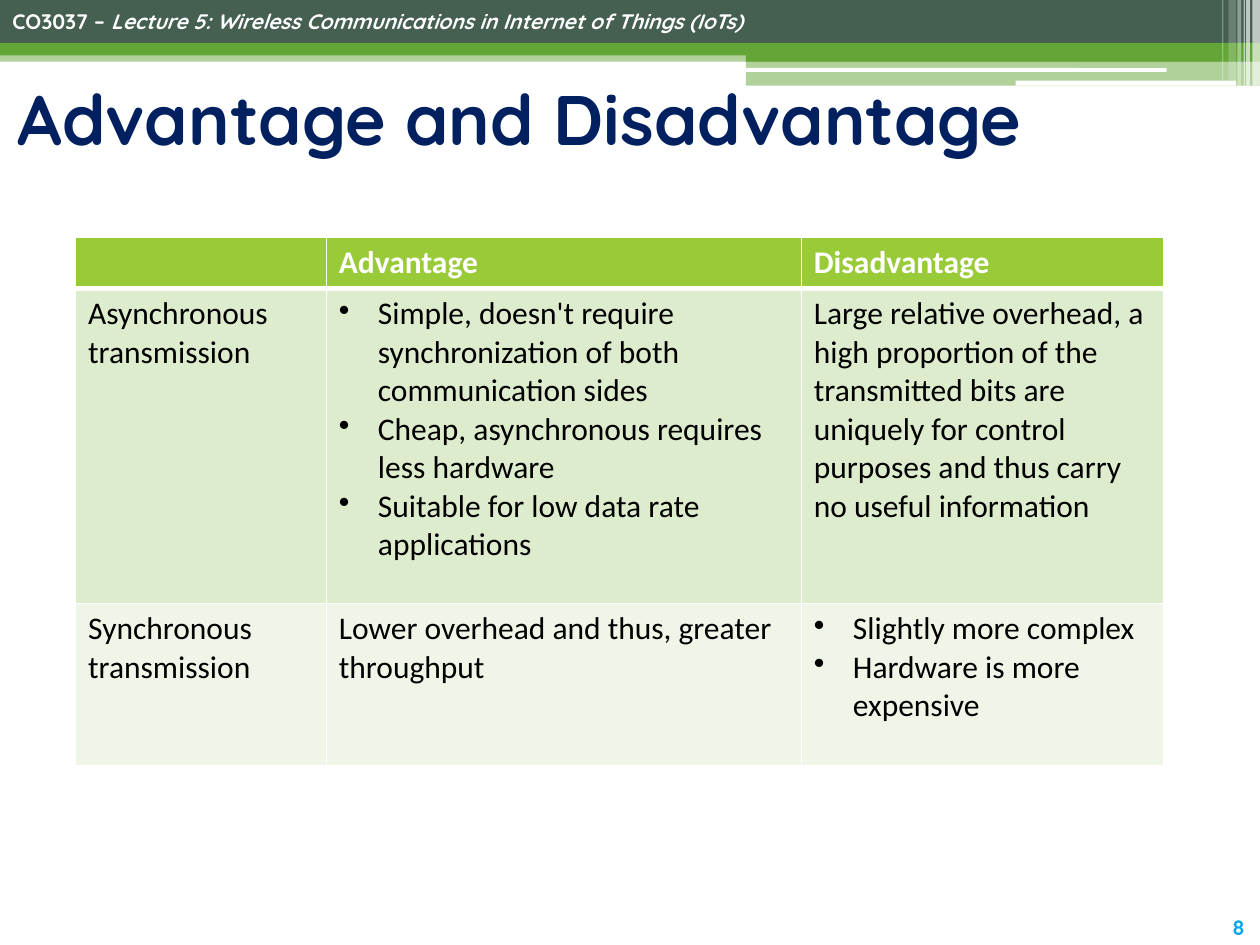
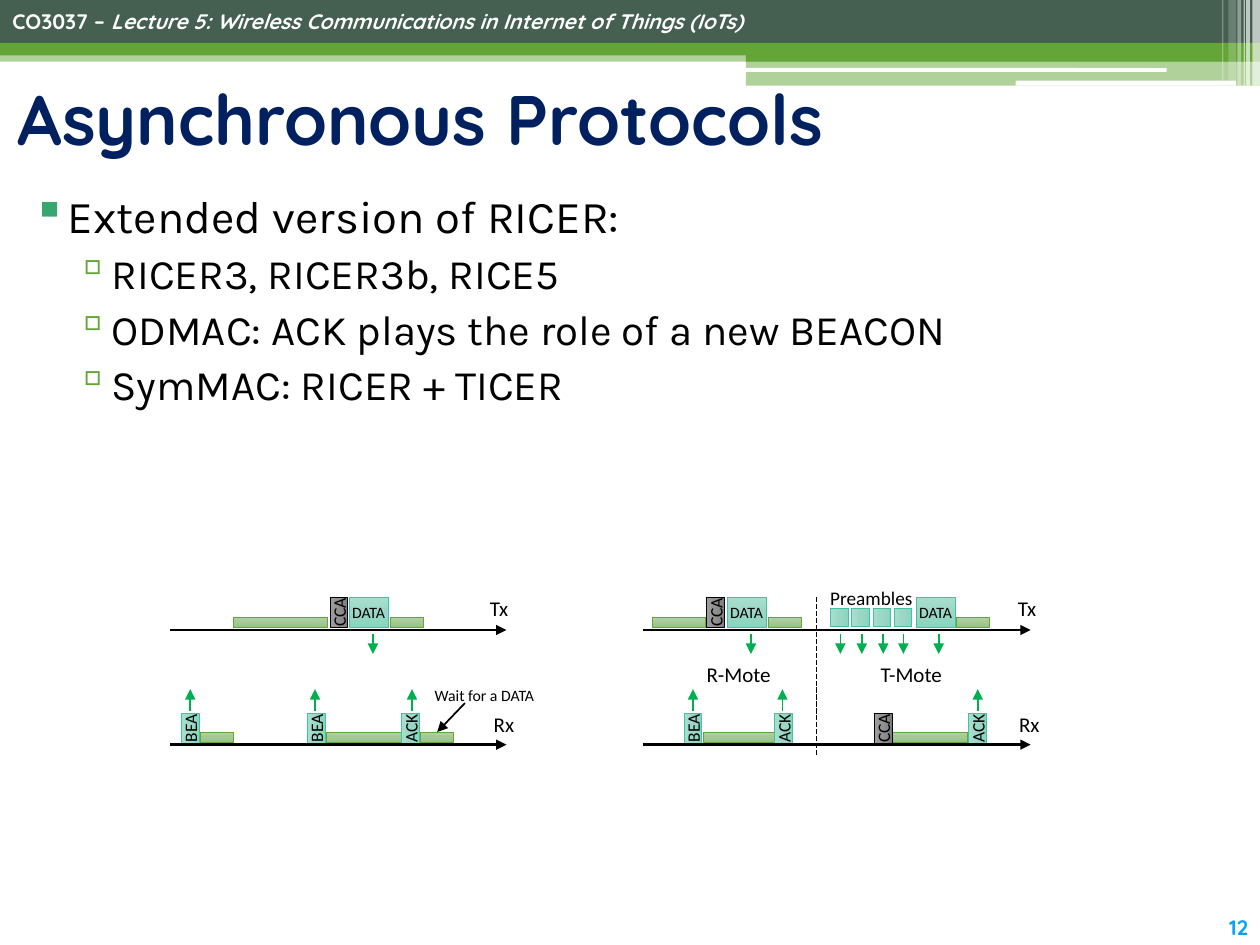
from copy import deepcopy

from lxml import etree
from pptx import Presentation
from pptx import util as u
from pptx.dml.color import RGBColor
from pptx.enum import dml, shapes, text
from pptx.oxml import ns

Inches, Pt = u.Inches, u.Pt
RECT = shapes.MSO_SHAPE.RECTANGLE
ROUND = shapes.MSO_SHAPE.ROUNDED_RECTANGLE
LEFT, MID, JUST = text.PP_ALIGN.LEFT, text.PP_ALIGN.CENTER, text.PP_ALIGN.JUSTIFY

# Colours
WHITE = RGBColor(0xFF, 0xFF, 0xFF)
BLACK = RGBColor(0, 0, 0)
NAVY = RGBColor(0x00, 0x20, 0x60)
SKY = RGBColor(0x08, 0xA5, 0xEF)
SLATE = RGBColor(0x45, 0x5F, 0x51)
GREEN = RGBColor(0x63, 0xA5, 0x37)
LIME = RGBColor(0x99, 0xCB, 0x38)
PALE = RGBColor(0xDE, 0xEC, 0xCE)
FAINT = RGBColor(0xEF, 0xF6, 0xE8)
JADE = RGBColor(0x37, 0xA7, 0x6F)
ARROW = RGBColor(0x00, 0xB0, 0x50)
TEAL = RGBColor(0x44, 0xC1, 0xA3)

# Gradient stops and outline of each kind of timeline box
BAR = ("B0D3A2", "A4C995", "95C482"), GREEN
SEND = ("A8DECD", "9AD7C5", "88D5BE"), TEAL
SENSE = ("9D9D9D", "909090", "7C7C7C"), BLACK

HEAD, BODY, CELL = "Quicksand", "Karla", "Calibri"


def write(frame, runs, size, face, hue, align=LEFT, bold=False, bullet=None):
    """Add one paragraph; runs hold (text, italic), bullet (sign, left, hang, hue)."""
    par = frame.paragraphs[0]
    if par.runs:
        par = frame.add_paragraph()
    if bullet:
        sign, left, hang, tint = bullet
        ppr = par._p.get_or_add_pPr()
        ppr.set("marL", str(Inches(left)))
        ppr.set("indent", str(-Inches(hang)))
        tone = etree.SubElement(ppr, ns.qn("a:buClr"))
        etree.SubElement(tone, ns.qn("a:srgbClr"), val=str(tint))
        etree.SubElement(ppr, ns.qn("a:buChar"), char=sign)
    par.alignment = align
    for words, slant in runs:
        run = par.add_run()
        run.text = words
        font = run.font
        font.size, font.name, font.bold, font.italic = Pt(size), face, bold, slant
        font.color.rgb = hue
    return par


def area(sld, x, y, w, h, wrap=False):
    """Add an empty text box and return its frame."""
    frame = sld.shapes.add_textbox(Inches(x), Inches(y), Inches(w), Inches(h)).text_frame
    frame.word_wrap = wrap
    return frame


prs = Presentation()
prs.slide_width, prs.slide_height = Inches(10), Inches(7.5)

# Shared bands: shape, left, top, width, height, colour, opacity
bands = [
    (RECT, 0, 0.4, 10, 0.09, GREEN, 50),
    (RECT, 0, 0, 10, 0.34, SLATE, 100),
    (RECT, 0, 0.34, 10, 0.1, GREEN, 100),
    (RECT, 5.92, 0.39, 4.08, 0.1, GREEN, 100),
    (RECT, 5.92, 0.48, 4.08, 0.2, GREEN, 50),
    (ROUND, 5.91, 0.54, 3.35, 0.03, WHITE, 100),
    (ROUND, 8.06, 0.64, 1.75, 0.04, WHITE, 100),
    (RECT, 9.94, 0, 0.06, 0.68, WHITE, 65),
    (RECT, 9.89, 0, 0.03, 0.68, WHITE, 65),
    (RECT, 9.87, 0, 0.01, 0.68, WHITE, 60),
    (RECT, 9.82, 0, 0.03, 0.68, WHITE, 40),
    (RECT, 9.75, 0, 0.06, 0.64, WHITE, 20),
    (RECT, 9.7, 0, 0.01, 0.64, WHITE, 30),
]

# Frame of both slides: bands, course line, page number, title
pages = []
for title, num in [("Advantage and Disadvantage", "8"), ("Asynchronous Protocols", "12")]:
    sld = prs.slides.add_slide(prs.slide_layouts[6])
    pages.append(sld)
    for kind, x, y, w, h, hue, clear in bands:
        band = sld.shapes.add_shape(kind, Inches(x), Inches(y), Inches(w), Inches(h))
        band.shadow.inherit = False
        band.line.fill.background()
        band.fill.solid()
        band.fill.fore_color.rgb = hue
        if clear < 100:
            tone = band._element.spPr.find(ns.qn("a:solidFill"))[0]
            etree.SubElement(tone, ns.qn("a:alpha"), val=str(clear * 1000))
    course = [("CO3037 – ", False),
              ("Lecture 5: Wireless Communications in Internet of Things (IoTs)", True)]
    write(area(sld, 0, 0.02, 6.03, 0.3), course, 12, HEAD, WHITE, bold=True)
    write(area(sld, 9.64, 7.21, 0.38, 0.3), [(num, False)], 12, HEAD, SKY, MID, True)
    frame = area(sld, 0.04, 0.52, 9.85, 0.82, True)
    frame.vertical_anchor = text.MSO_ANCHOR.MIDDLE
    write(frame, [(title, False)], 40, HEAD, NAVY, bold=True)
versus, proto = pages

# Comparison table; a cell with a list is bulleted
rows = [
    ["", "Advantage", "Disadvantage"],
    ["Asynchronous transmission",
     ["Simple, doesn't require synchronization of both communication sides",
      "Cheap, asynchronous requires less hardware",
      "Suitable for low data rate applications"],
     "Large relative overhead, a high proportion of the transmitted bits are "
     "uniquely for control purposes and thus carry no useful information"],
    ["Synchronous transmission",
     "Lower overhead and thus, greater throughput",
     ["Slightly more complex", "Hardware is more expensive"]],
]
grid = versus.shapes.add_table(3, 3, Inches(0.6), Inches(1.88), Inches(8.64), Inches(4.2)).table
grid.horz_banding = False
for col, w in zip(grid.columns, (1.99, 3.77, 2.88)):
    col.width = Inches(w)
for row, h in zip(grid.rows, (0.41, 2.5, 1.29)):
    row.height = Inches(h)
for r, row in enumerate(rows):
    for c, item in enumerate(row):
        cell = grid.cell(r, c)
        tcpr = cell._tc.get_or_add_tcPr()
        for side in "LRTB":
            thick = 3 if (r, side) in ((0, "B"), (1, "T")) else 1
            edge = etree.SubElement(tcpr, ns.qn("a:ln" + side), w=str(Pt(thick)))
            fill = etree.SubElement(edge, ns.qn("a:solidFill"))
            etree.SubElement(fill, ns.qn("a:srgbClr"), val=str(WHITE))
        cell.fill.solid()
        cell.fill.fore_color.rgb = (LIME, PALE, FAINT)[r]
        hue = BLACK if r else WHITE
        if isinstance(item, list):
            for line in item:
                write(cell.text_frame, [(line, False)], 18, CELL, hue,
                      bullet=("•", 0.31, 0.31, hue))
        elif item:
            write(cell.text_frame, [(item, False)], 18, CELL, hue, bold=r == 0)

# Protocol list
frame = area(proto, 0.04, 1.44, 9.85, 5.9, True)
write(frame, [("Extended version of RICER:", False)], 26, BODY, BLACK,
      bullet=("▪", 0.4, 0.28, JADE))
for line in ("RICER3, RICER3b, RICE5",
             "ODMAC: ACK plays the role of a new BEACON",
             "SymMAC: RICER + TICER"):
    par = write(frame, [(line, False)], 24, BODY, BLACK, JUST,
                bullet=("▫", 0.72, 0.27, GREEN))
    par.level = 1
    par.space_before = Pt(3)

# Timeline boxes: left, top, width, height, style, label, turn
TOP, LOW = 4.9, 5.81
boxes = [(x, y, w, 0.08, BAR, "", 0) for x, y, w in [
    (1.85, TOP, 0.75), (3.1, TOP, 0.26), (5.18, TOP, 0.42), (6.1, TOP, 0.26),
    (7.59, TOP, 0.26), (1.59, LOW, 0.26), (2.59, LOW, 0.6), (5.58, LOW, 0.6),
    (7.08, LOW, 0.6), (3.34, LOW, 0.26)]]
boxes += [(x, 4.74, 0.31, 0.24, SEND, "DATA", 0) for x in (2.77, 5.77, 7.27)]
boxes += [(x, 4.79, 0.24, 0.14, SENSE, "CCA", 270) for x in (2.57, 5.56)]
boxes += [(x, 5.71, 0.24, 0.14, SENSE if word == "CCA" else SEND, word, 270)
          for x, word in [(1.39, "BEA"), (2.39, "BEA"), (3.14, "ACK"), (5.38, "BEA"),
                          (6.1, "ACK"), (6.89, "CCA"), (7.64, "ACK")]]
boxes += [(6.59 + 0.167 * i, 4.83, 0.15, 0.14, SEND, "", 270) for i in range(4)]
for x, y, w, h, (stops, rim), word, turn in boxes:
    box = proto.shapes.add_shape(RECT, Inches(x), Inches(y), Inches(w), Inches(h))
    box.shadow.inherit = False
    box.rotation = turn
    box.fill.gradient()
    box.fill.gradient_angle = 270
    first = box._element.spPr.find(ns.qn("a:gradFill")).find(ns.qn("a:gsLst"))[0]
    mid = deepcopy(first)
    mid.set("pos", "50000")
    first.addnext(mid)
    for stop, tone in zip(box.fill.gradient_stops, stops):
        stop.color.rgb = RGBColor.from_string(tone)
    box.line.color.rgb = rim
    box.line.width = Pt(0.5)
    if word:
        frame = box.text_frame
        frame.margin_left = frame.margin_right = 0
        frame.vertical_anchor = text.MSO_ANCHOR.MIDDLE
        write(frame, [(word, False)], 9 if word == "DATA" else 10, CELL, BLACK, MID)
    if (x, y) == (3.34, LOW):
        wait = box

# Axes, message arrows, divider and pointer: from, to, colour, width
lines = [(x, y, end, y, BLACK, 1.5) for x, end in ((1.35, 4.02), (5.1, 8.18)) for y in (5, 5.91)]
lines += [(x, 5.64, x, 5.47, ARROW, 1) for x in (1.51, 2.5, 3.27, 5.5, 6.21, 7.76)]
lines += [(x, 5.03, x, 5.19, ARROW, 1)
          for x in (2.96, 5.96, 6.67, 6.84, 7.01, 7.17, 7.45)]
lines += [(6.48, 4.74, 6.48, 5.99, BLACK, 1), (3.69, 5.58, 3.47, 5.81, BLACK, 1)]
for x, y, right, low, hue, thick in lines:
    link = proto.shapes.add_connector(shapes.MSO_CONNECTOR.STRAIGHT, Inches(x), Inches(y),
                                      Inches(right), Inches(low))
    link.line.color.rgb = hue
    link.line.width = Pt(thick)
    if x == 6.48:
        link.line.dash_style = dml.MSO_LINE.SQUARE_DOT
    else:
        edge = link._element.spPr.find(ns.qn("a:ln"))
        etree.SubElement(edge, ns.qn("a:tailEnd"), type="triangle")
    if x == 3.69:
        link.end_connect(wait, 0)
    etree.SubElement(link._element.spPr, ns.qn("a:effectLst"))

# Timeline labels
for x, y, w, h, size, word in [
        (6.49, 4.6, 0.86, 0.29, 11, "Preambles"),
        (5.51, 5.2, 0.72, 0.3, 12, "R-Mote"), (6.89, 5.2, 0.71, 0.3, 12, "T-Mote"),
        (3.79, 4.68, 0.35, 0.3, 12, "Tx"), (7.98, 4.68, 0.35, 0.3, 12, "Tx"),
        (3.82, 5.6, 0.37, 0.3, 12, "Rx"), (7.99, 5.6, 0.37, 0.3, 12, "Rx")]:
    write(area(proto, x, y, w, h), [(word, False)], size, CELL, BLACK)
frame = area(proto, 3.45, 5.39, 0.92, 0.25, True)
frame.margin_left = frame.margin_right = 0
write(frame, [("Wait for a DATA", False)], 9, CELL, BLACK)

prs.save("out.pptx")
